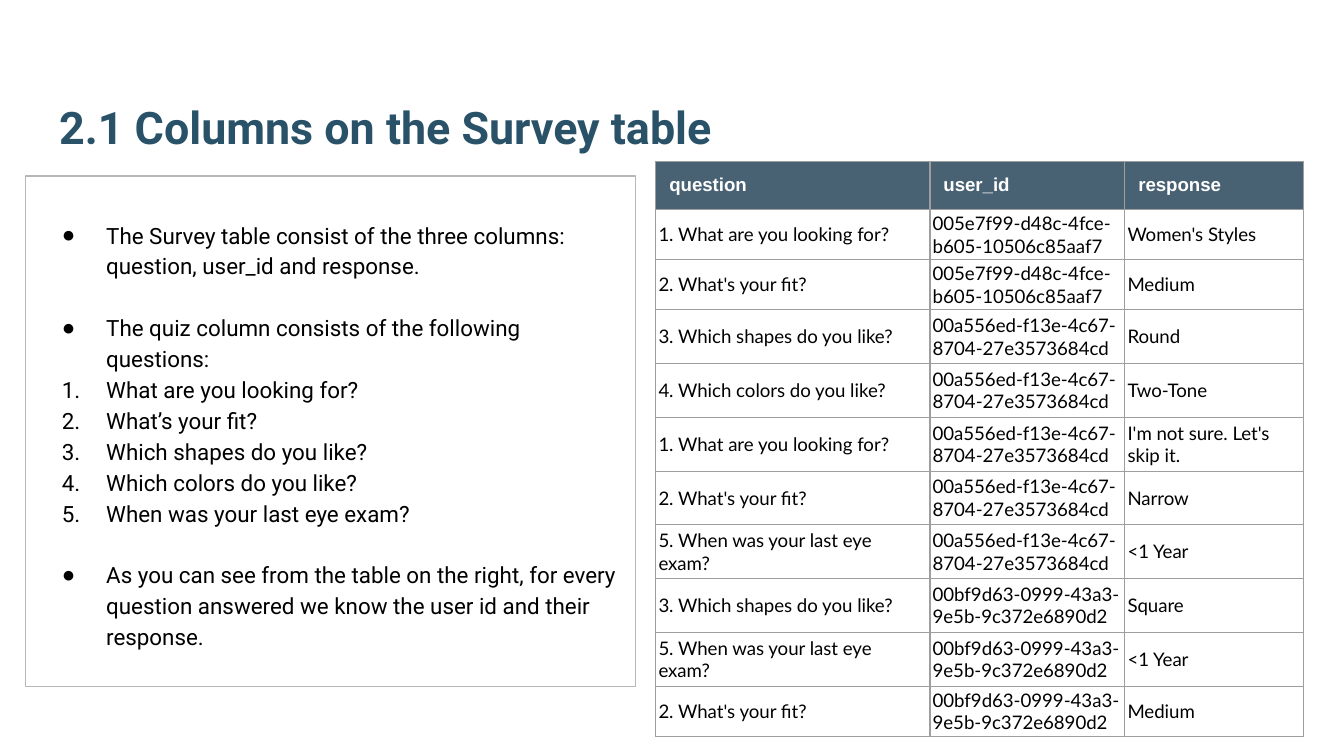
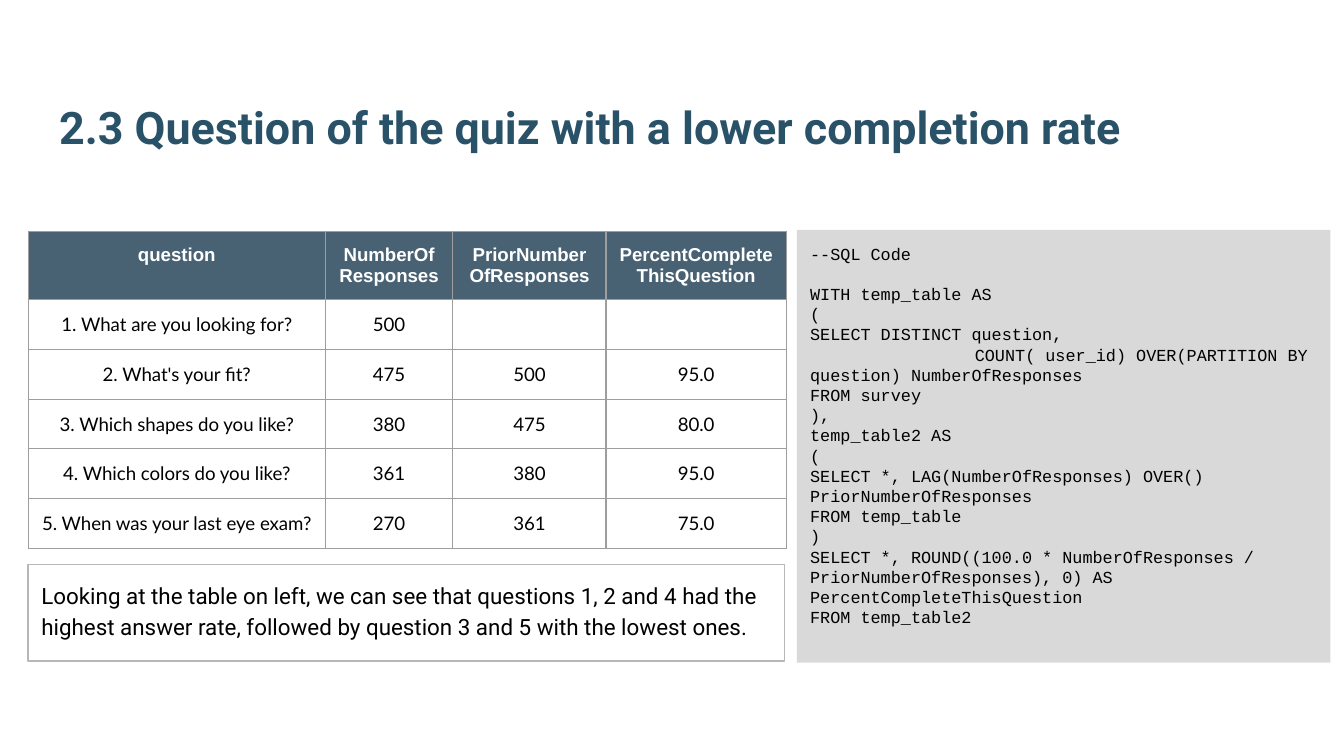
"""Build two slides about the columns and completion rates of a quiz survey."""
from lxml import etree
from pptx import Presentation
from pptx.dml.color import RGBColor
from pptx.enum.shapes import MSO_SHAPE
from pptx.enum.text import MSO_ANCHOR, MSO_AUTO_SIZE, PP_ALIGN
from pptx.oxml.ns import qn
from pptx.util import Inches, Pt

RECT = MSO_SHAPE.RECTANGLE
TOP, MID, LOW = MSO_ANCHOR.TOP, MSO_ANCHOR.MIDDLE, MSO_ANCHOR.BOTTOM
LEFT, CENTER = PP_ALIGN.LEFT, PP_ALIGN.CENTER
FIXED = MSO_AUTO_SIZE.NONE

HUES = {"title": "295269", "head": "204056", "grid": "9E9E9E", "frame": "B7B7B7",
        "code": "D9D9D9", "text": "000000", "white": "FFFFFF"}

ASKS = ["What are you looking for?", "What's your fit?", "Which shapes do you like?",
        "Which colors do you like?", "When was your last eye exam?"]
NAMED = [f"{num}. {ask}" for num, ask in enumerate(ASKS, 1)]

USERS = ["005e7f99-d48c-4fce-b605-10506c85aaf7", "00a556ed-f13e-4c67-8704-27e3573684cd",
         "00bf9d63-0999-43a3-9e5b-9c372e6890d2"]
REPLIES = [(1, 0, "Women's Styles"), (2, 0, "Medium"), (3, 1, "Round"), (4, 1, "Two-Tone"),
           (1, 1, "I'm not sure. Let's skip it."), (2, 1, "Narrow"), (5, 1, "<1 Year"),
           (3, 2, "Square"), (5, 2, "<1 Year"), (2, 2, "Medium")]
SURVEY = [["question", "user_id", "response"]]
SURVEY += [[NAMED[ask - 1], USERS[user], reply] for ask, user, reply in REPLIES]

RATES = [["question", "NumberOfResponses", "PriorNumberOfResponses",
          "PercentCompleteThisQuestion"]]
RATES += [[name, *vals] for name, vals in zip(NAMED, [
    ("500", "", ""), ("475", "500", "95.0"), ("380", "475", "80.0"),
    ("361", "380", "95.0"), ("270", "361", "75.0")])]

POINTS = [("●", "The Survey table consist of the three columns: question, user_id and response.", 0),
          ("●", "The quiz column consists of the following questions:", 16.5)]
POINTS += [("1.", ask.replace("'", "’"), 0) for ask in ASKS]
POINTS += [("●", "As you can see from the table on the right, for every question answered "
            "we know the user id and their response.", 16.5)]

NOTE = ("Looking at the table on left, we can see that questions 1, 2 and 4 had the highest "
        "answer rate, followed by question 3 and 5 with the lowest ones.")

SQL = """WITH temp_table AS
(
SELECT DISTINCT question,
\t   COUNT( user_id) OVER(PARTITION BY question) NumberOfResponses
FROM survey
),
temp_table2 AS
(
SELECT *, LAG(NumberOfResponses) OVER() PriorNumberOfResponses
FROM temp_table
)
SELECT *, ROUND((100.0 * NumberOfResponses / PriorNumberOfResponses), 0) AS PercentCompleteThisQuestion
FROM temp_table2"""


def tint(name):
    """Return the named colour."""
    return RGBColor.from_string(HUES[name])


def write(para, text, size, face, hue="text", bold=False, align=LEFT):
    """Add one formatted run to a paragraph."""
    para.alignment = align
    run = para.add_run()
    run.text = text
    font = run.font
    font.size, font.name, font.bold = Pt(size), face, bold
    font.color.rgb = tint(hue)


def space(para, lines=1.0, before=0):
    """Set the line spacing and the gap above a paragraph."""
    para.line_spacing = lines
    para.space_before = Pt(before)


def mark(para, sign):
    """Give a paragraph a hanging bullet or number."""
    props = para._p.get_or_add_pPr()
    props.set("marL", str(Inches(0.5)))
    props.set("indent", str(-Inches(0.33)))
    color = etree.SubElement(props, qn("a:buClr"))
    etree.SubElement(color, qn("a:srgbClr"), val=HUES["text"])
    if sign == "●":
        etree.SubElement(props, qn("a:buFont"), typeface="Arial")
        etree.SubElement(props, qn("a:buChar"), char=sign)
    else:
        etree.SubElement(props, qn("a:buFont"), typeface="Roboto")
        etree.SubElement(props, qn("a:buAutoNum"), type="arabicPeriod")


def stop(para, pos):
    """Set one left tab stop."""
    tabs = etree.SubElement(para._p.get_or_add_pPr(), qn("a:tabLst"))
    etree.SubElement(tabs, qn("a:tab"), pos=str(Inches(pos)), algn="l")


def place(shape, box, anchor=TOP):
    """Set the bounds and text frame of a shape, and return the frame."""
    shape.left, shape.top, shape.width, shape.height = map(Inches, box)
    frame = shape.text_frame
    frame.word_wrap, frame.auto_size = True, FIXED
    frame.vertical_anchor = anchor
    frame.margin_left = frame.margin_right = Inches(0.1)
    frame.margin_top = frame.margin_bottom = Inches(0.1)
    return frame


def edge(shape):
    """Outline a shape with the thin grey frame."""
    shape.line.color.rgb = tint("frame")
    shape.line.width = Pt(0.75)


def add_page(deck, layout, title):
    """Add a slide with its title."""
    page = deck.slides.add_slide(deck.slide_layouts[layout])
    frame = place(page.shapes.title, (0.34, 0.32, 9.32, 0.92), LOW)
    write(frame.paragraphs[0], title, 24, "Roboto", "title", True)
    return page


def add_list(page, box):
    """Fill the body placeholder with the framed list."""
    body = page.placeholders[1]
    edge(body)
    frame = place(body, box)
    frame.margin_top = Inches(0.31)
    for pos, (sign, text, gap) in enumerate(POINTS):
        para = frame.add_paragraph() if pos else frame.paragraphs[0]
        space(para, 1.15, gap)
        mark(para, sign)
        write(para, text, 12, "Roboto")


def add_box(page, box):
    """Add a plain rectangle without shadow."""
    shape = page.shapes.add_shape(RECT, *map(Inches, box))
    shape.shadow.inherit = False
    return shape, place(shape, box)


def add_note(page, box):
    """Add the framed remark."""
    shape, frame = add_box(page, box)
    shape.fill.background()
    edge(shape)
    para = frame.paragraphs[0]
    space(para, 1.15)
    write(para, NOTE, 12, "Roboto")


def add_code(page, box):
    """Add the grey code panel."""
    shape, frame = add_box(page, box)
    shape.fill.solid()
    shape.fill.fore_color.rgb = tint("code")
    shape.line.fill.background()
    write(frame.paragraphs[0], "--SQL Code", 9, "Courier New")
    for pos, line in enumerate(SQL.splitlines()):
        para = frame.add_paragraph()
        space(para, before=0 if pos else 10.8)
        if "\t" in line:
            stop(para, 1)
        write(para, line, 9, "Courier New")


def rule(cell):
    """Draw the four grey borders of a cell."""
    props = cell._tc.get_or_add_tcPr()
    for side in ("lnL", "lnR", "lnT", "lnB"):
        line = etree.SubElement(props, qn(f"a:{side}"), w=str(Pt(0.75)))
        fill = etree.SubElement(line, qn("a:solidFill"))
        etree.SubElement(fill, qn("a:srgbClr"), val=HUES["grid"])


def shade(cell):
    """Fill a header cell with the translucent blue."""
    cell.fill.solid()
    cell.fill.fore_color.rgb = tint("head")
    color = cell._tc.tcPr.find(qn("a:solidFill")).find(qn("a:srgbClr"))
    etree.SubElement(color, qn("a:alpha"), val="82000")


def fill_cell(cell, text, head, align):
    """Format one table cell and write its text."""
    rule(cell)
    pad = Inches(0.1 if head else 0.02)
    cell.margin_left = cell.margin_right = pad
    cell.margin_top = cell.margin_bottom = pad
    cell.vertical_anchor = TOP if head else MID
    para = cell.text_frame.paragraphs[0]
    if head:
        shade(cell)
        write(para, text, 10, "Arial", "white", True, align)
    else:
        cell.fill.background()
        if text:
            write(para, text, 10, "Lato", align=align)


def add_grid(page, left, top, cols, rows, data, align=LEFT):
    """Add a ruled table with a header row."""
    size = left, top, sum(cols), sum(rows)
    grid = page.shapes.add_table(len(rows), len(cols), *map(Inches, size)).table
    grid.horz_banding = False
    for col, width in zip(grid.columns, cols):
        col.width = Inches(width)
    for pos, (row, height) in enumerate(zip(grid.rows, rows)):
        row.height = Inches(height)
        for cell, text in zip(row.cells, data[pos]):
            fill_cell(cell, text, pos == 0, align)


def main():
    """Build and save the deck."""
    deck = Presentation()
    deck.slide_width = Inches(10)
    deck.slide_height = deck.slide_width * 9 // 16

    page = add_page(deck, 1, "2.1 Columns on the Survey table")
    add_list(page, (0.19, 1.31, 4.54, 3.8))
    add_grid(page, 4.88, 1.2, [2.04, 1.45, 1.33],
             [0.36, 0.37, 0.37] + [0.4] * 7 + [0.37], SURVEY)

    page = add_page(deck, 5, "2.3 Question of the quiz with a lower completion rate")
    add_code(page, (5.93, 1.71, 3.97, 3.22))
    add_note(page, (0.21, 4.2, 5.63, 0.72))
    add_grid(page, 0.21, 1.72, [2.21, 0.95, 1.14, 1.34],
             [0.5] + [0.37] * 5, RATES, CENTER)

    deck.save("out.pptx")


if __name__ == "__main__":
    main()
